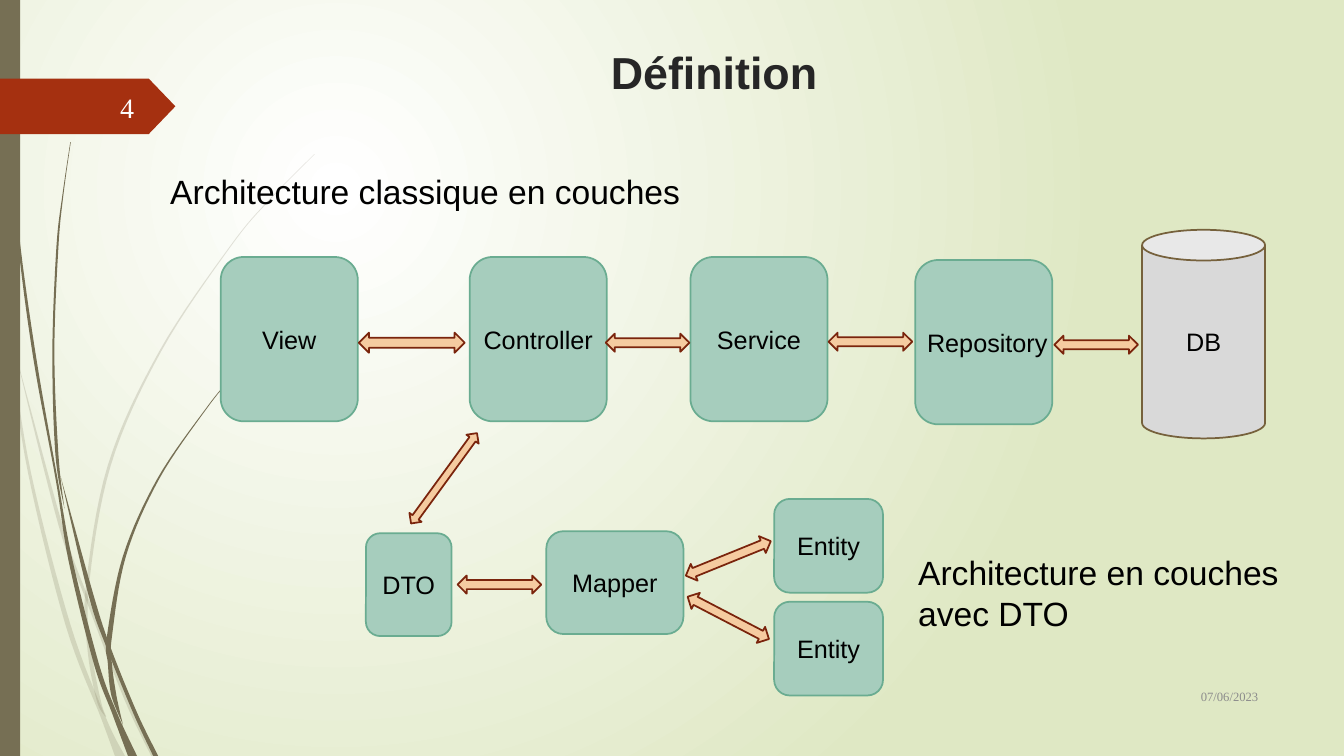
from lxml.etree import SubElement
from pptx import Presentation
from pptx.dml.color import RGBColor
from pptx.enum.shapes import MSO_SHAPE as Shape
from pptx.enum.text import MSO_ANCHOR as Anchor, PP_ALIGN as Align
from pptx.oxml.ns import qn
from pptx.util import Inches, Pt

# One grid cell is a tenth of an inch
COLUMNS, ROWS = 133.33, 75


def cells(count):
    return Inches(count / 10)


def colour(hex_text):
    return RGBColor.from_string(hex_text)


def smooth(knots, steps=8):
    """Catmull-Rom curve through (column, row, thickness) knots."""
    padded = [knots[0], *knots, knots[-1]]
    curve = []
    for a, b, c, d in zip(padded, padded[1:], padded[2:], padded[3:]):
        for step in range(steps):
            t = step / steps
            curve.append([
                q + (r - p) * t / 2 + (2 * p - 5 * q + 4 * r - s) * t ** 2 / 2
                + (3 * q - p - 3 * r + s) * t ** 3 / 2
                for p, q, r, s in zip(a, b, c, d)])
    return curve + [knots[-1]]


class SlideBuilder:
    olive, rust = "766F54", "A53010"
    card_style = {"fill": "A6CDBD", "line": "6AAC91"}
    arrow_style = {"fill": "F5CBA0", "line": "7A240C"}
    database_style = {"fill": "D9D9D9", "line": "76613C"}

    def __init__(self, deck):
        self.page = deck.slides.add_slide(deck.slide_layouts[6])

    def background(self, centre, edge):
        fill = self.page.background.fill
        fill.gradient()
        for stop, tone, position in zip(fill.gradient_stops, (centre, edge), (0, 1)):
            stop.color.rgb = colour(tone)
            stop.position = position
        linear = next(self.page.element.iter(qn("a:lin")))
        gradient = linear.getparent()
        gradient.remove(linear)
        radial = SubElement(gradient, qn("a:path"), {"path": "circle"})
        SubElement(radial, qn("a:fillToRect"),
                   {"l": "50000", "t": "50000", "r": "100000", "b": "100000"})

    def paint(self, box, fill, line=None):
        box.shadow.inherit = False
        box.fill.solid()
        box.fill.fore_color.rgb = colour(fill)
        if line:
            box.line.color.rgb = colour(line)
            box.line.width = Pt(1.25)
        else:
            box.line.fill.background()

    def set_text(self, box, text, size, tone="000000", font="Arial", bold=False,
                 align=Align.LEFT, **frame_format):
        frame = box.text_frame
        for name, value in {"word_wrap": True, **frame_format}.items():
            setattr(frame, name, value)
        para = frame.paragraphs[0]
        para.alignment = align
        span = para.add_run()
        span.text = text
        for name, value in {"name": font, "size": Pt(size), "bold": bold}.items():
            setattr(span.font, name, value)
        span.font.color.rgb = colour(tone)

    def text(self, area, text, size, **text_format):
        box = self.page.shapes.add_textbox(*map(cells, area))
        self.set_text(box, text, size, **text_format)

    def shape(self, kind, area, fill, line=None):
        box = self.page.shapes.add_shape(kind, *map(cells, area))
        self.paint(box, fill, line)
        return box

    def card(self, area, label, kind=Shape.ROUNDED_RECTANGLE, style=card_style, indent=0):
        box = self.shape(kind, area, **style)
        self.set_text(box, label, 18, align=Align.CENTER, word_wrap=False,
                      vertical_anchor=Anchor.MIDDLE, margin_left=cells(indent),
                      margin_right=0)

    def arrow(self, area, angle=0):
        self.shape(Shape.LEFT_RIGHT_ARROW, area, **self.arrow_style).rotation = angle

    def stem(self, knots, opacity):
        curve = smooth(knots)
        left = [(cells(x - w / 2), cells(y)) for x, y, w in curve]
        right = [(cells(x + w / 2), cells(y)) for x, y, w in reversed(curve)]
        builder = self.page.shapes.build_freeform(*left[0], scale=1.0)
        builder.add_line_segments(left[1:] + right, close=True)
        box = builder.convert_to_shape()
        self.paint(box, self.olive)
        if opacity < 100:
            tone = next(box.element.spPr.iter(qn("a:srgbClr")))
            SubElement(tone, qn("a:alpha"), {"val": str(opacity * 1000)})


# Stems as (column, row, thickness), by opacity
STEMS = {
    20: [
        [(0.1, 29, 0.2), (1, 34.6, 0.2), (2.95, 47, 0.3), (6.75, 62, 0.5),
         (10.3, 71.3, 0.5), (11.9, 75, 1)],
        [(1.4, 34.5, 0), (6, 52.1, 0.4), (8.6, 59.3, 0.3), (12.5, 69.3, 0.4),
         (15.25, 75, 0.5)],
        [(31.2, 15.3, 0.05), (26.8, 19.75, 0.1), (22.85, 24.45, 0.1), (15.9, 34.85, 0.2),
         (10.85, 46.15, 0.3), (8.65, 58.4, 0.3), (8.9, 64.6, 0.4), (9.8, 69.5, 0.4),
         (10.5, 71.1, 0.1)],
    ],
    100: [
        [(0.35, 0, 0.1), (0.45, 4.8, 0.1), (0.75, 11, 0.1), (1.8, 23.3, 0.2),
         (3.45, 35.5, 0.3), (5.65, 47.7, 0.2), (7, 55.6, 0.4), (9.55, 65.8, 0.5),
         (11.35, 70.7, 0.5), (13.15, 75, 0.9)],
        [(6, 47.2, 0), (9.05, 59.1, 0.5), (10.8, 64.3, 0.4), (13.4, 70.7, 0.4),
         (15.45, 75, 0.5)],
        [(7, 14.1, 0.05), (6.25, 19.3, 0.1), (5.7, 24.5, 0.2), (5.3, 34.9, 0.2),
         (5.65, 45.1, 0.3), (6.4, 50.5, 0)],
        [(26.05, 34.4, 0.1), (23.1, 37.35, 0.1), (20.45, 40.55, 0.1), (15.7, 47.5, 0.2),
         (12.35, 55.15, 0.3), (10.85, 63.2, 0.5), (10.9, 65.8, 0.4), (11.3, 69, 0.5),
         (12.2, 71.9, 0)],
    ],
}


def main():
    deck = Presentation()
    deck.slide_width, deck.slide_height = cells(COLUMNS), cells(ROWS)
    slide = SlideBuilder(deck)

    # Backdrop
    slide.background("FFFFFF", "DFE8C4")
    for opacity, stems in STEMS.items():
        for knots in stems:
            slide.stem(knots, opacity)
    slide.shape(Shape.RECTANGLE, (0, 0, 2, ROWS), slide.olive)
    banner = slide.shape(Shape.PENTAGON, (0, 7.8, 17.4, 5.5), slide.rust)
    banner.adjustments[0] = 0.48

    # Title, date and page number
    footer_format = {"font": "Times New Roman", "align": Align.RIGHT,
                     "vertical_anchor": Anchor.MIDDLE}
    slide.text((113.3, 67, 12.5, 4.1), "07/06/2023", 9, tone="8C8C8C", **footer_format)
    slide.text((5.8, 8.6, 8.5, 4), "4", 20, tone="FEFFFF", **footer_format)
    slide.text((22.1, 3.9, 97.5, 14), "Définition", 32, tone="262626", bold=True,
               align=Align.CENTER)

    # Classic layers
    slide.text((15.9, 16.5, 58, 5), "Architecture classique en couches", 24)
    for column, label in ((21.9, "View"), (46.6, "Controller"), (68.5, "Service")):
        slide.card((column, 25.5, 13.6, 16.3), label)
    slide.card((90.8, 25.8, 13.6, 16.3), "Repository", indent=0.7)
    slide.card((113.3, 22.8, 12.2, 20.7), "DB", Shape.CAN, slide.database_style)
    slide.arrow((35.6, 33, 10.5, 2))
    for column, row in ((60.1, 33.1), (82.2, 33), (104.6, 33.3)):
        slide.arrow((column, row, 8.3, 1.8))

    # Layers with transfer objects
    slide.text((90.1, 54.3, 43.2, 9.1), "Architecture en couches avec DTO", 24)
    slide.card((36.3, 52.9, 8.5, 10.2), "DTO")
    slide.card((54.2, 52.7, 13.6, 10.2), "Mapper")
    for row in (49.5, 59.7):
        slide.card((76.8, row, 10.8, 9.3), "Entity")
    slide.arrow((38.5, 46.7, 11.1, 1.5), 126.1)
    slide.arrow((45.4, 57.1, 8.3, 1.8))
    for row, angle in ((54.5, 337.9), (60.4, 27.5)):
        slide.arrow((67.7, row, 9.1, 1.8), angle)

    deck.save("out.pptx")


if __name__ == "__main__":
    main()
